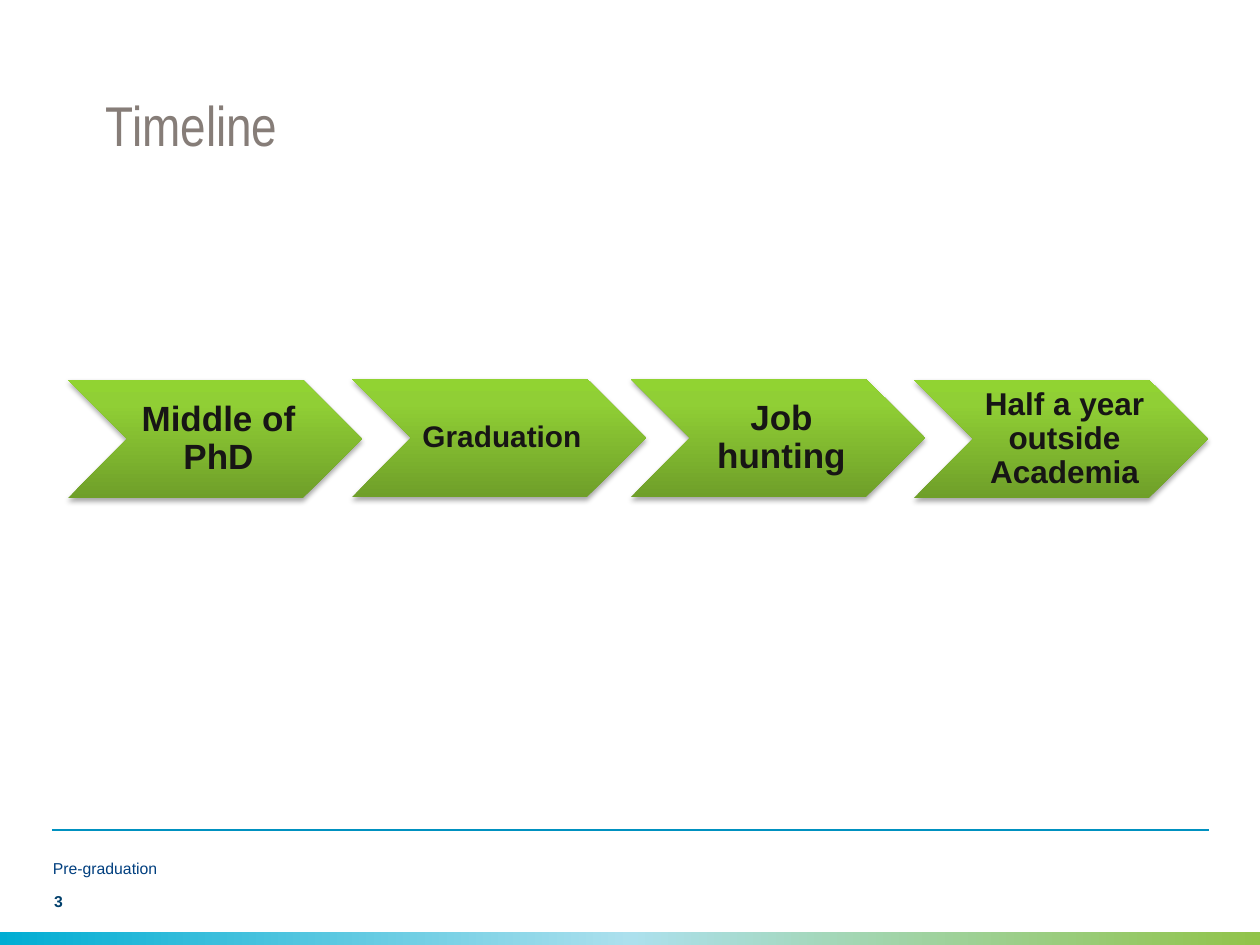
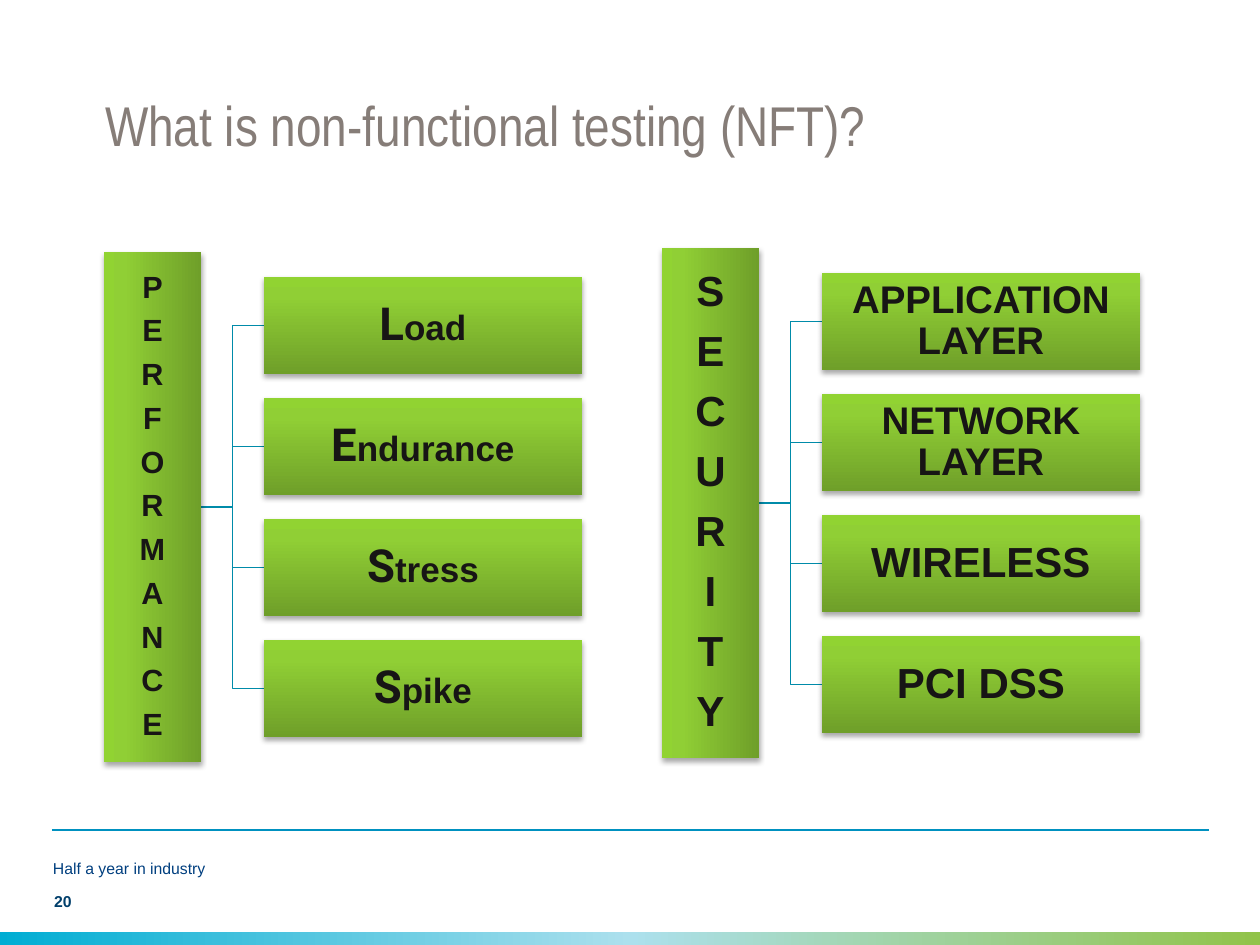
from dataclasses import dataclass

import pptx
import pptx.dml.color
import pptx.enum.shapes
import pptx.enum.text
import pptx.oxml
import pptx.oxml.ns
import pptx.util

EMU_PER_INCH = 914400
PX_PER_INCH = 126
SHAPE = pptx.enum.shapes.MSO_SHAPE
ALIGN = pptx.enum.text.PP_ALIGN
ANCHOR = pptx.enum.text.MSO_ANCHOR


@dataclass(frozen=True)
class Theme:
    title: str = "867D78"
    section: str = "003F7F"
    number: str = "003F6B"
    rule: str = "0091C0"
    branch: str = "008BA9"
    label: str = "171515"
    green: tuple = ((0, "6F9F29"), (80, "90CF35"), (100, "91D332"))
    band: tuple = ((0, "00ADD3"), (50, "ACE0ED"), (100, "91C349"))
    font: str = "Arial"
    title_font: str = "Arial Narrow"
    lead_font: str = "Roboto"
    title_size: int = 32
    footer_size: int = 9
    lead_size: int = 26


@dataclass(frozen=True)
class Box:
    left: int
    top: int
    width: int
    height: int


@dataclass(frozen=True)
class Label:
    text: str
    size: float
    lead: str = ""  # enlarged first letter


@dataclass(frozen=True)
class Step:
    left: int
    top: int
    label: Label


@dataclass(frozen=True)
class Tree:
    left: int
    top: int
    root: Label
    nodes: tuple


THEME = Theme()

STEPS = (
    Step(68, 380, Label("Middle of PhD", 20)),
    Step(352, 379, Label("Graduation", 17)),
    Step(631, 379, Label("Job hunting", 20)),
    Step(914, 380, Label("Half a year outside Academia", 18)),
)

TREES = (
    Tree(104, 252, Label("PERFORMANCE", 17.5), (
        Label("oad", 20, "L"), Label("ndurance", 20, "E"),
        Label("tress", 20, "S"), Label("pike", 20, "S"))),
    Tree(662, 248, Label("SECURITY", 24), (
        Label("APPLICATION LAYER", 22), Label("NETWORK LAYER", 22),
        Label("WIRELESS", 24), Label("PCI DSS", 24))),
)


def px(length: float) -> int:
    return round(length * EMU_PER_INCH / PX_PER_INCH)


def place(box: Box) -> tuple:
    return px(box.left), px(box.top), px(box.width), px(box.height)


def rgb(colour: str):
    return pptx.dml.color.RGBColor.from_string(colour)


def style(span, size: float, colour: str, font: str = THEME.font, bold: bool = False) -> None:
    span.font.size = pptx.util.Pt(size)
    span.font.name = font
    span.font.bold = bold
    span.font.color.rgb = rgb(colour)


def set_insets(frame, left: int = 0, others: int = 0) -> None:
    frame.margin_left = px(left)
    frame.margin_top = frame.margin_right = frame.margin_bottom = px(others)


def xml(tag: str, attributes: str, content: str = ""):
    namespace = pptx.oxml.ns.nsdecls("a")
    return pptx.oxml.parse_xml(f"<a:{tag} {namespace} {attributes}>{content}</a:{tag}>")


def add_gradient_shape(slide, kind, box: Box, stops: tuple, angle: int):
    shape = slide.shapes.add_shape(kind, *place(box))
    shape.shadow.inherit = False
    shape.line.fill.background()
    shape.fill.gradient()
    shape.fill.gradient_angle = angle
    stop_list = shape.element.spPr.find(".//" + pptx.oxml.ns.qn("a:gsLst"))
    for stop in list(stop_list):
        stop_list.remove(stop)
    for position, colour in stops:
        stop_list.append(xml("gs", f'pos="{position * 1000}"', f'<a:srgbClr val="{colour}"/>'))
    return shape


def add_green_shape(slide, kind, box: Box, angle: int = 90):
    shape = add_gradient_shape(slide, kind, box, THEME.green, angle)
    effects = shape.element.spPr.find(pptx.oxml.ns.qn("a:effectLst"))
    effects.append(xml(
        "outerShdw", 'blurRad="39370" dist="22860" dir="5400000" rotWithShape="0"',
        '<a:srgbClr val="000000"><a:alpha val="35000"/></a:srgbClr>'))
    return shape


def write_label(shape, label: Label, left_inset: int, inset: int) -> None:
    frame = shape.text_frame
    frame.word_wrap = True
    frame.vertical_anchor = ANCHOR.MIDDLE
    set_insets(frame, left_inset, inset)
    frame.text = label.lead or label.text
    if label.lead:
        frame.paragraphs[0].add_run().text = label.text
    for para in frame.paragraphs:
        para.alignment = ALIGN.CENTER
        para.line_spacing = 0.9
        # Space after is a share of the line height
        para.space_after = pptx.util.Pt(0)
        gap = para._p.pPr.find(pptx.oxml.ns.qn("a:spcAft"))
        gap.remove(gap[0])
        gap.append(xml("spcPct", 'val="35000"'))
        for span in para.runs:
            style(span, label.size, THEME.label, bold=True)
    if label.lead:
        style(frame.paragraphs[0].runs[0], THEME.lead_size, THEME.label, THEME.lead_font, True)


def add_footer_text(slide, box: Box, text: str, colour: str, bold: bool = False) -> None:
    frame = slide.shapes.add_textbox(*place(box)).text_frame
    frame.word_wrap = True
    set_insets(frame)
    frame.text = text
    style(frame.paragraphs[0].runs[0], THEME.footer_size, colour, bold=bold)


def add_page(deck, title: str, section: str, number: int):
    slide = deck.slides.add_slide(deck.slide_layouts[5])

    # Title
    heading = slide.shapes.title
    heading.left, heading.top, heading.width, heading.height = place(Box(105, 86, 1050, 76))
    frame = heading.text_frame
    frame.text = title
    frame.auto_size = pptx.enum.text.MSO_AUTO_SIZE.NONE
    frame.vertical_anchor = ANCHOR.MIDDLE
    set_insets(frame)
    frame.paragraphs[0].alignment = ALIGN.LEFT
    style(frame.paragraphs[0].runs[0], THEME.title_size, THEME.title, THEME.title_font)

    # Rule, colour band and footer
    rule = slide.shapes.add_connector(
        pptx.enum.shapes.MSO_CONNECTOR.STRAIGHT, px(52), px(830), px(1209), px(830))
    rule.line.color.rgb = rgb(THEME.rule)
    rule.line.width = pptx.util.Pt(1.42)
    rule.element.spPr.append(xml("effectLst", ""))
    add_gradient_shape(slide, SHAPE.RECTANGLE, Box(0, 932, 1260, 13), THEME.band, 0)
    add_footer_text(slide, Box(53, 859, 775, 23), section, THEME.section)
    add_footer_text(slide, Box(54, 892, 294, 21), str(number), THEME.number, bold=True)
    return slide


def add_step(slide, step: Step) -> None:
    chevron = add_green_shape(slide, SHAPE.CHEVRON, Box(step.left, step.top, 294, 118))
    write_label(chevron, step.label, round(step.label.size * 0.55), round(step.label.size * 0.19))


def add_branch(slide, start: tuple, end: tuple) -> None:
    middle = (start[0] + end[0]) / 2
    builder = slide.shapes.build_freeform(px(start[0]), px(start[1]))
    corners = ((middle, start[1]), (middle, end[1]), end)
    builder.add_line_segments([(px(x), px(y)) for x, y in corners], close=False)
    branch = builder.convert_to_shape()
    branch.shadow.inherit = False
    branch.fill.background()
    branch.line.color.rgb = rgb(THEME.branch)
    branch.line.width = pptx.util.Pt(0.75)


def add_tree(slide, tree: Tree) -> None:
    thickness, root_height, pitch = 97, 510, 121
    root = Box(tree.left, tree.top, thickness, root_height)
    nodes = [Box(tree.left + 160, tree.top + 25 + row * pitch, 318, thickness)
             for row in range(len(tree.nodes))]

    # Branches lie behind the boxes
    start = (root.left + root.width, root.top + root.height / 2)
    for node in nodes:
        add_branch(slide, start, (node.left, node.top + node.height / 2))

    # Root reads downwards, one letter a line
    bar = add_green_shape(slide, SHAPE.RECTANGLE, root, angle=180)
    write_label(bar, Label("\n".join(tree.root.text), tree.root.size), 2, 2)
    for node, label in zip(nodes, tree.nodes):
        write_label(add_green_shape(slide, SHAPE.RECTANGLE, node), label, 2, 2)


def main() -> None:
    deck = pptx.Presentation()
    deck.slide_width = pptx.util.Inches(10)
    deck.slide_height = pptx.util.Inches(7.5)

    timeline = add_page(deck, "Timeline", "Pre-graduation", 3)
    for step in STEPS:
        add_step(timeline, step)

    testing = add_page(deck, "What is non-functional testing (NFT)?", "Half a year in industry", 20)
    for tree in TREES:
        add_tree(testing, tree)

    deck.save("out.pptx")


if __name__ == "__main__":
    main()
